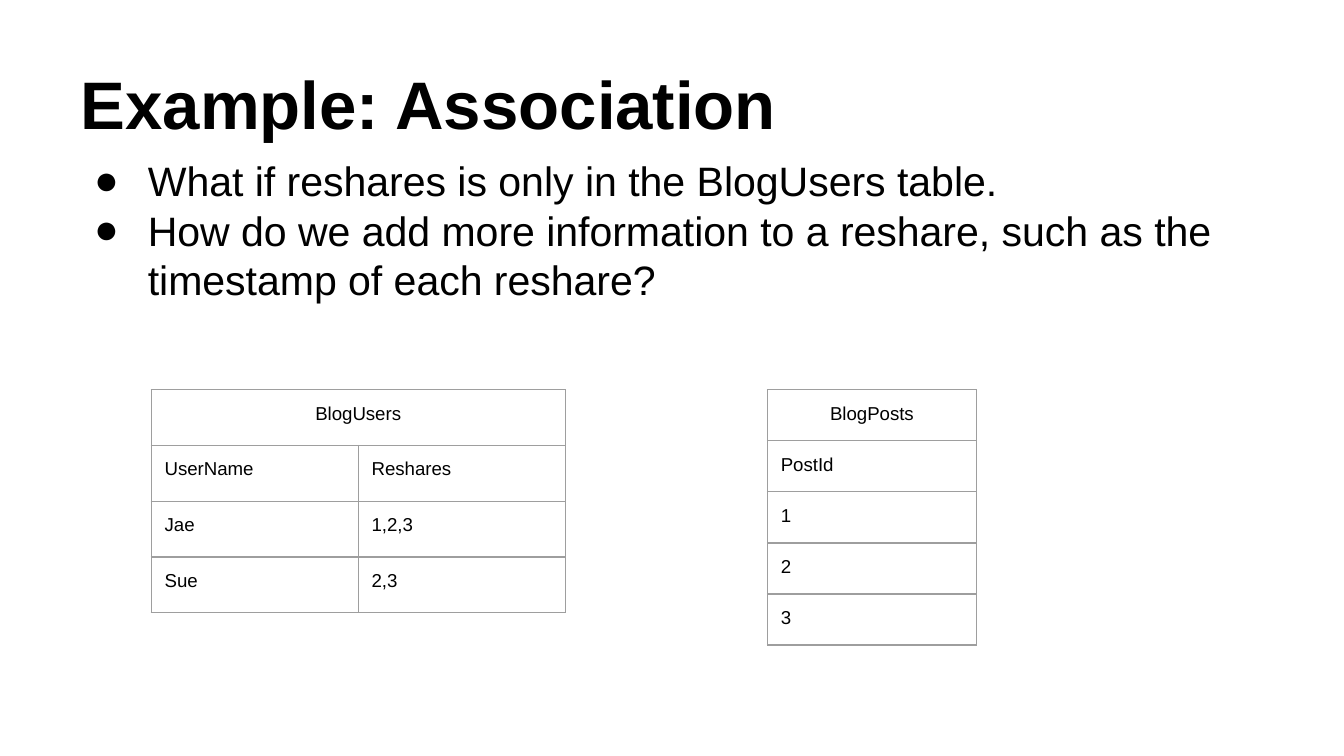
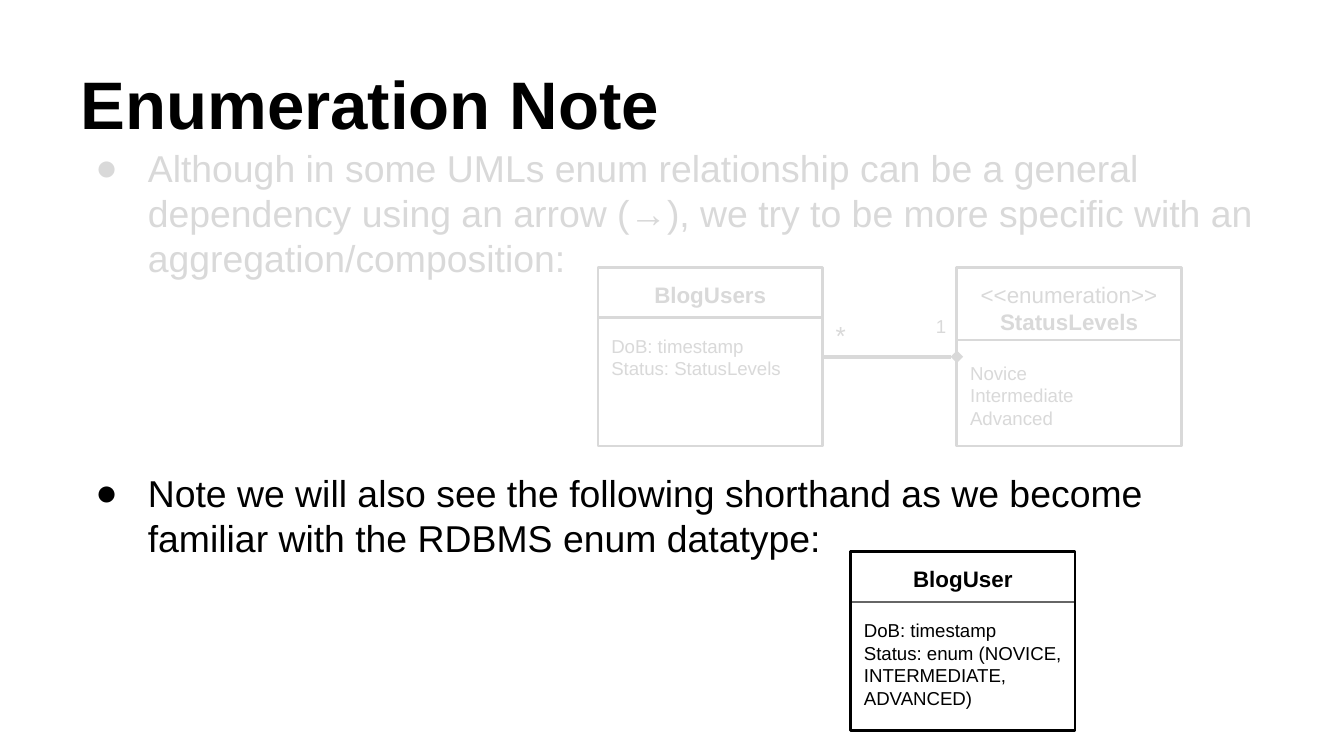
from dataclasses import dataclass

from lxml import etree
from pptx import Presentation
from pptx.dml.color import RGBColor
from pptx.enum.shapes import MSO_CONNECTOR, MSO_SHAPE
from pptx.enum.text import MSO_ANCHOR, MSO_AUTO_SIZE, PP_ALIGN
from pptx.oxml.ns import qn
from pptx.util import Emu, Pt

LEFT, CENTER = PP_ALIGN.LEFT, PP_ALIGN.CENTER
TOP, BOTTOM = MSO_ANCHOR.TOP, MSO_ANCHOR.BOTTOM
RECTANGLE, STRAIGHT = MSO_SHAPE.RECTANGLE, MSO_CONNECTOR.STRAIGHT
RIGHT_SIDE, LEFT_SIDE = 3, 1

# Shared look: 200 px to the inch
PX = 4572
PAGE_SIZE = (2000, 1125)
FONT = "Arial"
BLACK = RGBColor(0x00, 0x00, 0x00)
FADED = RGBColor(0xD9, 0xD9, 0xD9)
DIVIDER = RGBColor(0x66, 0x66, 0x66)
GRID = RGBColor(0x9E, 0x9E, 0x9E)
INSET = 20
BULLET_MARGIN = 100
CLASS_SIZE = (334, 266)


@dataclass
class Line:
    text: str
    size: int
    color: RGBColor = BLACK
    bold: bool = False
    align: PP_ALIGN = LEFT
    before: float = 0
    hanging: int = 0


@dataclass
class Grid:
    left: int
    top: int
    column: int
    row: int
    title: str
    rows: list[list[str]]


@dataclass
class ClassBox:
    left: int
    top: int
    divider: int
    name: str
    members: list[str]
    color: RGBColor
    divider_color: RGBColor
    stereotype: str = ""


def px(length: int) -> Emu:
    return Emu(length * PX)


def add_bullet(para, line: Line) -> None:
    props = para._p.get_or_add_pPr()
    props.set("marL", str(px(BULLET_MARGIN)))
    props.set("indent", str(px(-line.hanging)))
    color = etree.SubElement(props, qn("a:buClr"))
    etree.SubElement(color, qn("a:srgbClr"), val=str(line.color))
    etree.SubElement(props, qn("a:buFont"), typeface=FONT)
    etree.SubElement(props, qn("a:buChar"), char="●")


def write_line(para, line: Line) -> None:
    para.text = line.text
    para.alignment = line.align
    para.space_before = Pt(line.before)
    if line.hanging:
        add_bullet(para, line)
    para.font.name = FONT
    para.font.size = Pt(line.size)
    para.font.bold = line.bold
    para.font.color.rgb = line.color


def set_margins(holder) -> None:
    holder.margin_left = holder.margin_right = px(INSET)
    holder.margin_top = holder.margin_bottom = px(INSET)


def write(frame, lines: list[Line], anchor: MSO_ANCHOR = TOP) -> None:
    """Fill a text frame with one paragraph per line."""
    frame.word_wrap = True
    frame.auto_size = MSO_AUTO_SIZE.NONE
    frame.vertical_anchor = anchor
    set_margins(frame)
    for index, line in enumerate(lines):
        para = frame.add_paragraph() if index else frame.paragraphs[0]
        write_line(para, line)


def place(shape, left: int, top: int, width: int, height: int) -> None:
    shape.left, shape.top = px(left), px(top)
    shape.width, shape.height = px(width), px(height)


def add_page(deck, title: str, body_area: tuple[int, int, int, int], lines: list[Line]):
    """Add a page with the shared title style and a bulleted body."""
    page = deck.slides.add_slide(deck.slide_layouts[1])
    heading, body = page.shapes.title, page.placeholders[1]
    place(heading, 100, 45, 1800, 188)
    write(heading.text_frame, [Line(title, 36, bold=True)], BOTTOM)
    place(body, *body_area)
    write(body.text_frame, lines)
    return page


def add_borders(cell) -> None:
    props = cell._tc.get_or_add_tcPr()
    for index, side in enumerate(("a:lnL", "a:lnR", "a:lnT", "a:lnB")):
        border = etree.Element(qn(side), w=str(Pt(0.75)))
        fill = etree.SubElement(border, qn("a:solidFill"))
        etree.SubElement(fill, qn("a:srgbClr"), val=str(GRID))
        props.insert(index, border)


def add_grid(page, grid: Grid) -> None:
    """Draw a table whose first row is one centred title."""
    columns = len(grid.rows[0])
    rows = [[grid.title] + [""] * (columns - 1)] + grid.rows
    frame = page.shapes.add_table(
        len(rows), columns, px(grid.left), px(grid.top),
        px(grid.column * columns), px(grid.row * len(rows)))
    table = frame.table
    table.first_row = table.horz_banding = False
    for r, texts in enumerate(rows):
        for c, text in enumerate(texts):
            cell = table.cell(r, c)
            cell.fill.background()
            set_margins(cell)
            add_borders(cell)
            align = LEFT if r else CENTER
            write_line(cell.text_frame.paragraphs[0], Line(text, 10, align=align))
    if columns > 1:
        table.cell(0, 0).merge(table.cell(0, columns - 1))


def add_line(page, start: tuple[int, int], end: tuple[int, int],
             color: RGBColor, width: float):
    line = page.shapes.add_connector(
        STRAIGHT, px(start[0]), px(start[1]), px(end[0]), px(end[1]))
    line.line.color.rgb = color
    line.line.width = Pt(width)
    etree.SubElement(line._element.spPr, qn("a:effectLst"))
    return line


def add_class(page, item: ClassBox):
    """Draw a UML class: name, divider and members."""
    width, height = CLASS_SIZE
    box = page.shapes.add_shape(
        RECTANGLE, px(item.left), px(item.top), px(width), px(height))
    box.shadow.inherit = False
    box.fill.background()
    box.line.color.rgb = item.color
    box.line.width = Pt(1.5)
    lines = [Line(item.name, 12, item.color, bold=True, align=CENTER)]
    if item.stereotype:
        lines.insert(0, Line(item.stereotype, 12, item.color, align=CENTER))
    for index, member in enumerate(item.members):
        lines.append(Line(member, 10, item.color, before=0 if index else 14.5))
    write(box.text_frame, lines)
    y = item.top + item.divider
    add_line(page, (item.left + 2, y), (item.left + width - 2, y),
             item.divider_color, 1.5)
    return box


def add_association(page, whole, part) -> None:
    """Join two classes with a line that ends in a diamond."""
    link = add_line(page, (1224, 531), (1424, 531), FADED, 2.25)
    link.begin_connect(whole, RIGHT_SIDE)
    link.end_connect(part, LEFT_SIDE)
    stroke = link._element.spPr.get_or_add_ln()
    etree.SubElement(stroke, qn("a:tailEnd"), type="diamond")


def add_multiplicity(page, left: int, top: int, text: str, size: int) -> None:
    box = page.shapes.add_textbox(px(left), px(top), px(52), px(46))
    write(box.text_frame, [Line(text, size, FADED)])


def build_association_page(deck) -> None:
    page = add_page(deck, "Example: Association", (100, 212, 1818, 376), [
        Line("What if reshares is only in the BlogUsers table.", 22, before=6, hanging=80),
        Line("How do we add more information to a reshare, such as the "
             "timestamp of each reshare?", 22, hanging=80),
    ])
    add_grid(page, Grid(225, 580, 308, 83, "BlogUsers", [
        ["UserName", "Reshares"], ["Jae", "1,2,3"], ["Sue", "2,3"]]))
    add_grid(page, Grid(1142, 580, 311, 76, "BlogPosts", [["PostId"], ["1"], ["2"], ["3"]]))


def build_enumeration_page(deck) -> None:
    page = add_page(deck, "Enumeration Note", (100, 196, 1800, 930), [
        Line("Although in some UMLs enum relationship can be a general dependency "
             "using an arrow (→), we try to be more specific with an "
             "aggregation/composition:", 20, FADED, before=6, hanging=78),
        Line("Note we will also see the following shorthand as we become familiar "
             "with the RDBMS enum datatype:", 20, before=102, hanging=78),
    ])
    # Shorthand class, then the faded pair
    add_class(page, ClassBox(
        1266, 821, 75, "BlogUser",
        ["DoB: timestamp", "Status: enum (NOVICE, INTERMEDIATE, ADVANCED)"],
        BLACK, DIVIDER))
    users = add_class(page, ClassBox(
        890, 398, 75, "BlogUsers", ["DoB: timestamp", "Status: StatusLevels"],
        FADED, FADED))
    levels = add_class(page, ClassBox(
        1424, 398, 108, "StatusLevels", ["Novice", "Intermediate", "Advanced"],
        FADED, FADED, "<<enumeration>>"))
    add_association(page, users, levels)
    add_multiplicity(page, 1224, 455, "*", 14)
    add_multiplicity(page, 1373, 449, "1", 10)


def main() -> None:
    deck = Presentation()
    deck.slide_width, deck.slide_height = map(px, PAGE_SIZE)
    build_association_page(deck)
    build_enumeration_page(deck)
    deck.save("out.pptx")


if __name__ == "__main__":
    main()
